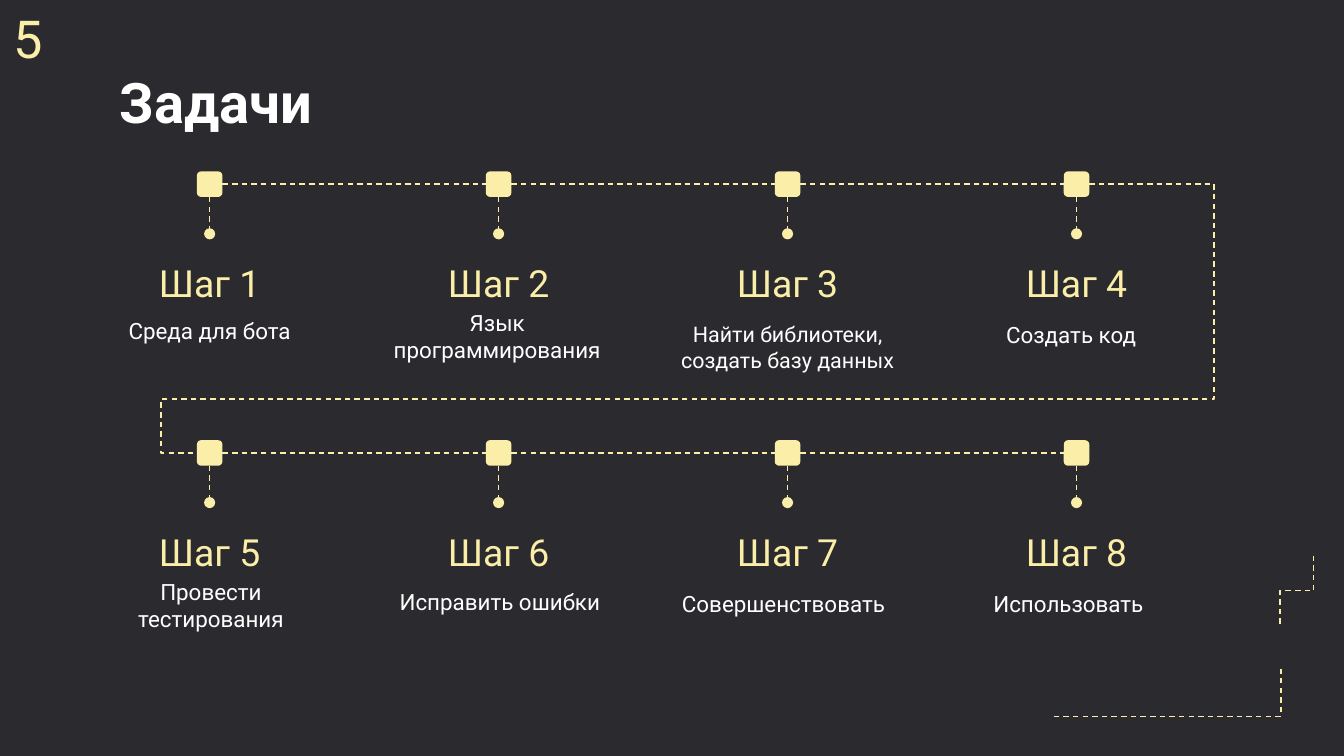
from lxml import etree
from pptx import Presentation
from pptx.dml.color import RGBColor
from pptx.enum.dml import MSO_LINE
from pptx.enum.shapes import MSO_CONNECTOR, MSO_SHAPE
from pptx.enum.text import MSO_ANCHOR, MSO_AUTO_SIZE, PP_ALIGN
from pptx.oxml.ns import qn
from pptx.util import Inches, Pt

DASH = MSO_LINE.DASH
STRAIGHT, ELBOW = MSO_CONNECTOR.STRAIGHT, MSO_CONNECTOR.ELBOW
ROUNDED = MSO_SHAPE.ROUNDED_RECTANGLE
TOP, BOTTOM = MSO_ANCHOR.TOP, MSO_ANCHOR.BOTTOM
LEFT, CENTER = PP_ALIGN.LEFT, PP_ALIGN.CENTER
NO_FIT, GROW = MSO_AUTO_SIZE.NONE, MSO_AUTO_SIZE.SHAPE_TO_FIT_TEXT

# Content: rows of (text, left nudge, drop below the row line, type size)
TITLE = "Задачи"
NUMBER = "5"
ROWS = [
    [("Среда для бота", 0, 0.89, "body"),
     ("Язык программирования", -0.01, 0.83, "body"),
     ("Найти библиотеки, создать базу данных", 0, 0.92, "small"),
     ("Создать код", -0.04, 0.92, "body")],
    [("Провести тестирования", 0.01, 0.83, "body"),
     ("Исправить ошибки", 0.01, 0.91, "body"),
     ("Совершенствовать", -0.03, 0.92, "body"),
     ("Использовать", -0.06, 0.92, "body")],
]

THEME = {
    "font": "Roboto",
    "back": RGBColor.from_string("2B2B2F"),
    "accent": RGBColor.from_string("FBEEA8"),
    "white": RGBColor.from_string("FFFFFF"),
    "title": 30, "number": 28, "step": 20, "body": 12, "small": 11.5,
    "line": 0.75,
}

# Grid
X, Y = 1.56, 1.37
COL, ROW = 2.15, 2.0
SIDE, STEM = 0.19, 0.37
WIDE = 1.98

# Widescreen slide, 16 to 9
deck = Presentation()
deck.slide_width = Inches(10)
deck.slide_height = Inches(10 * 9 / 16)
slide = deck.slides.add_slide(deck.slide_layouts[5])
slide.background.fill.solid()
slide.background.fill.fore_color.rgb = THEME["back"]
shapes = slide.shapes


def write(text, box, size, color="white", bold=False, align=CENTER,
          anchor=TOP, inset=0.1, fit=NO_FIT, shape=None):
    """Put text in a new text box, or in the given shape."""
    place = [Inches(v) for v in box]
    shape = shape or shapes.add_textbox(*place)
    shape.left, shape.top, shape.width, shape.height = place
    frame = shape.text_frame
    frame.word_wrap, frame.auto_size = True, fit
    frame.vertical_anchor = anchor
    frame.margin_left = frame.margin_right = Inches(0.1)
    frame.margin_top = frame.margin_bottom = Inches(inset)
    para = frame.paragraphs[0]
    para.alignment = align
    run = para.add_run()
    run.text = text
    run.font.name, run.font.size = THEME["font"], Pt(THEME[size])
    run.font.bold = bold
    run.font.color.rgb = THEME[color]


def draw(kind, start, end, dot=False):
    """Add a dashed connector, with a round end if wanted."""
    link = shapes.add_connector(kind, *[Inches(v) for v in start + end])
    link.line.color.rgb = THEME["accent"]
    link.line.width = Pt(THEME["line"])
    link.line.dash_style = DASH
    props = link._element.spPr
    if dot:
        etree.SubElement(props.find(qn("a:ln")), qn("a:tailEnd"), type="oval")
    etree.SubElement(props, qn("a:effectLst"))
    return link


def bend(start, end, form, adjust=(), turn=0):
    """Add an elbow connector with its own form, bends and rotation."""
    props = draw(ELBOW, start, end)._element.spPr
    geom = props.find(qn("a:prstGeom"))
    geom.set("prst", form)
    guides = geom.find(qn("a:avLst"))
    if guides is None:
        guides = etree.SubElement(geom, qn("a:avLst"))
    for num, part in enumerate(adjust, 1):
        etree.SubElement(guides, qn("a:gd"), name=f"adj{num}",
                         fmla=f"val {round(part * 100000)}")
    if turn:
        props.find(qn("a:xfrm")).set("rot", str(turn * 60000))


def mark(x, y):
    """Add a rounded square centred on a point."""
    box = shapes.add_shape(ROUNDED, Inches(x - SIDE / 2), Inches(y - SIDE / 2),
                           Inches(SIDE), Inches(SIDE))
    box.shadow.inherit = False
    box.fill.solid()
    box.fill.fore_color.rgb = THEME["accent"]
    box.line.fill.background()
    return box


# Corner lines
bend((7.84, 5.33), (9.53, 4.98), "bentConnector2")
bend((9.39, 4.27), (9.91, 4.52), "bentConnector3", (0.5,), turn=90)

# Title and slide number
write(TITLE, (0.79, 0.4, 8.43, 0.63), "title", bold=True, align=LEFT,
      shape=shapes.title)
write(NUMBER, (0, 0, 0.98, 0.57), "number", "accent", align=LEFT,
      inset=0.05, fit=GROW)

# Steps
for r, row in enumerate(ROWS):
    y = Y + r * ROW
    last = None
    for c, (text, nudge, drop, size) in enumerate(row):
        x = X + c * COL
        left = x - WIDE / 2
        box = mark(x, y)
        stem = draw(STRAIGHT, (x, y + SIDE / 2), (x, y + STEM), dot=True)
        stem.begin_connect(box, 2)
        if last is not None:
            link = draw(STRAIGHT, (x - COL + SIDE / 2, y), (x - SIDE / 2, y))
            link.begin_connect(last, 3)
            link.end_connect(box, 1)
        last = box
        write(f"Шаг {r * len(row) + c + 1}", (left, y + STEM, WIDE, 0.63),
              "step", "accent", anchor=BOTTOM)
        write(text, (left + nudge, y + drop, WIDE, 0.57), size)

# Turn from the first row to the second
bend((X + 3 * COL + SIDE / 2, Y), (X - SIDE / 2, Y + ROW),
     "bentConnector5", (-0.14, 0.8, 1.04))

deck.save("out.pptx")
